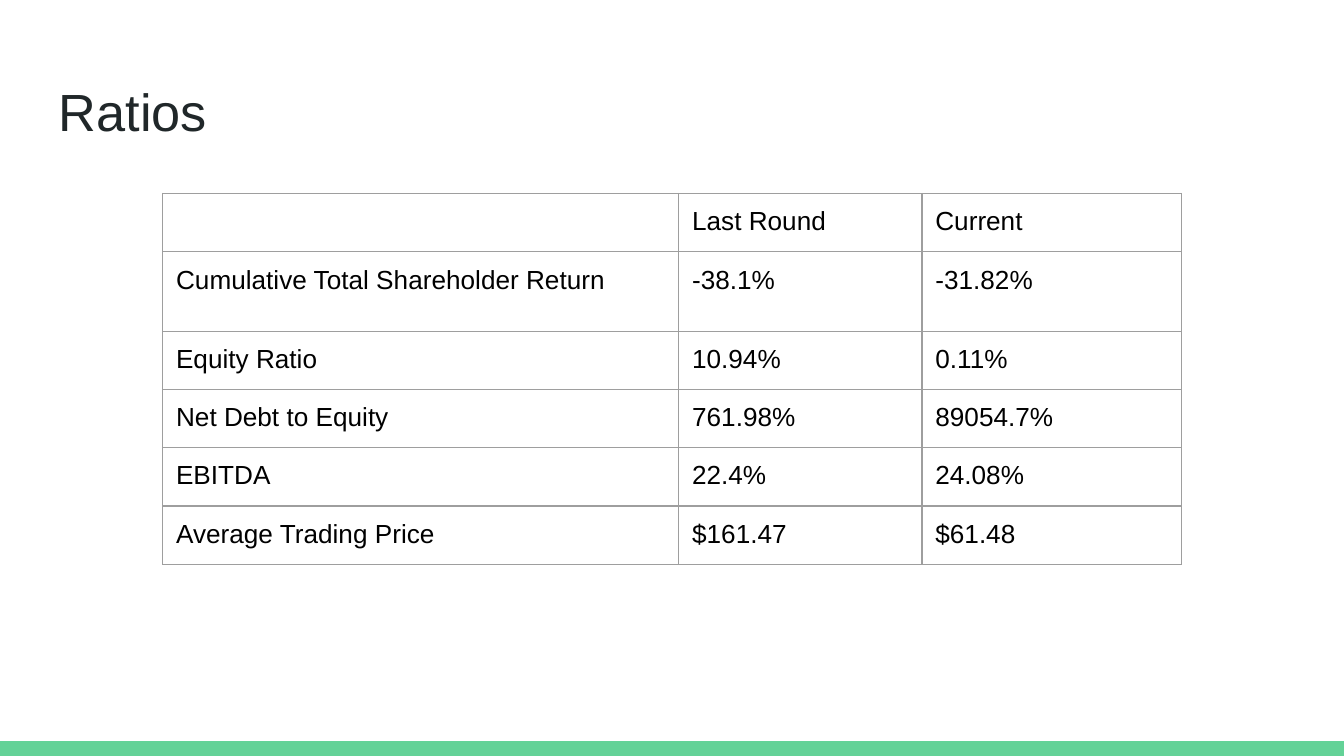
from lxml.etree import SubElement
from pptx import Presentation
from pptx.dml.color import RGBColor
from pptx.enum.shapes import MSO_SHAPE as Shape
from pptx.enum.text import MSO_ANCHOR as Anchor
from pptx.oxml.ns import qn
from pptx.util import Inches, Pt

WIDTH = Inches(10)
HEIGHT = WIDTH * 9 // 16
FONT = "Arial"
PADDING = Inches(0.1)
BODY_SIZE = 14
COLUMNS = [3.84, 1.81, 1.93]
ROWS = [0.39, 0.59] + [0.38] * 4
RATIOS = [
    ["", "Last Round", "Current"],
    ["Cumulative Total Shareholder Return", "-38.1%", "-31.82%"],
    ["Equity Ratio", "10.94%", "0.11%"],
    ["Net Debt to Equity", "761.98%", "89054.7%"],
    ["EBITDA", "22.4%", "24.08%"],
    ["Average Trading Price", "$161.47", "$61.48"],
]


def colour(code):
    return RGBColor.from_string(code)


def add_span(para, text, size, code):
    span = para.add_run()
    span.text = text
    span.font.name = FONT
    span.font.size = Pt(size)
    span.font.color.rgb = colour(code)


def pad(area):
    area.margin_left = area.margin_right = PADDING
    area.margin_top = area.margin_bottom = PADDING
    area.vertical_anchor = Anchor.TOP


def add_bar(page):
    thickness = Inches(0.11)
    bar = page.shapes.add_shape(Shape.RECTANGLE, 0, HEIGHT - thickness, WIDTH, thickness)
    bar.shadow.inherit = False
    bar.fill.solid()
    bar.fill.fore_color.rgb = colour("63D297")
    bar.line.fill.background()


def add_title(page, text):
    box = page.shapes.add_textbox(Inches(0.34), Inches(0.49), Inches(9.32), Inches(0.63))
    frame = box.text_frame
    frame.word_wrap = True
    pad(frame)
    add_span(frame.paragraphs[0], text, 28, "202729")


def add_borders(cell, code, points):
    properties = cell._tc.get_or_add_tcPr()
    for index, side in enumerate(("a:lnL", "a:lnR", "a:lnT", "a:lnB")):
        line = properties.makeelement(qn(side), {"w": str(Pt(points))})
        fill = SubElement(line, qn("a:solidFill"))
        SubElement(fill, qn("a:srgbClr"), val=code)
        properties.insert(index, line)


def fill_cell(cell, text):
    cell.fill.background()
    pad(cell)
    para = cell.text_frame.paragraphs[0]
    if text:
        add_span(para, text, BODY_SIZE, "000000")
    else:
        SubElement(para._p, qn("a:endParaRPr"), sz=str(BODY_SIZE * 100))
    add_borders(cell, "9E9E9E", 0.75)


def add_ratios(page):
    frame = page.shapes.add_table(
        len(ROWS), len(COLUMNS), Inches(1.21), Inches(1.44),
        Inches(sum(COLUMNS)), Inches(sum(ROWS)),
    )
    table = frame.table
    table.first_row = table.horz_banding = False
    for column, width in zip(table.columns, COLUMNS):
        column.width = Inches(width)
    for row, height, values in zip(table.rows, ROWS, RATIOS):
        row.height = Inches(height)
        for cell, text in zip(row.cells, values):
            fill_cell(cell, text)


def main():
    deck = Presentation()
    deck.slide_width, deck.slide_height = WIDTH, HEIGHT
    page = deck.slides.add_slide(deck.slide_layouts[6])
    page.background.fill.solid()
    page.background.fill.fore_color.rgb = colour("FFFFFF")
    add_bar(page)
    add_title(page, "Ratios")
    add_ratios(page)
    deck.save("out.pptx")


if __name__ == "__main__":
    main()
